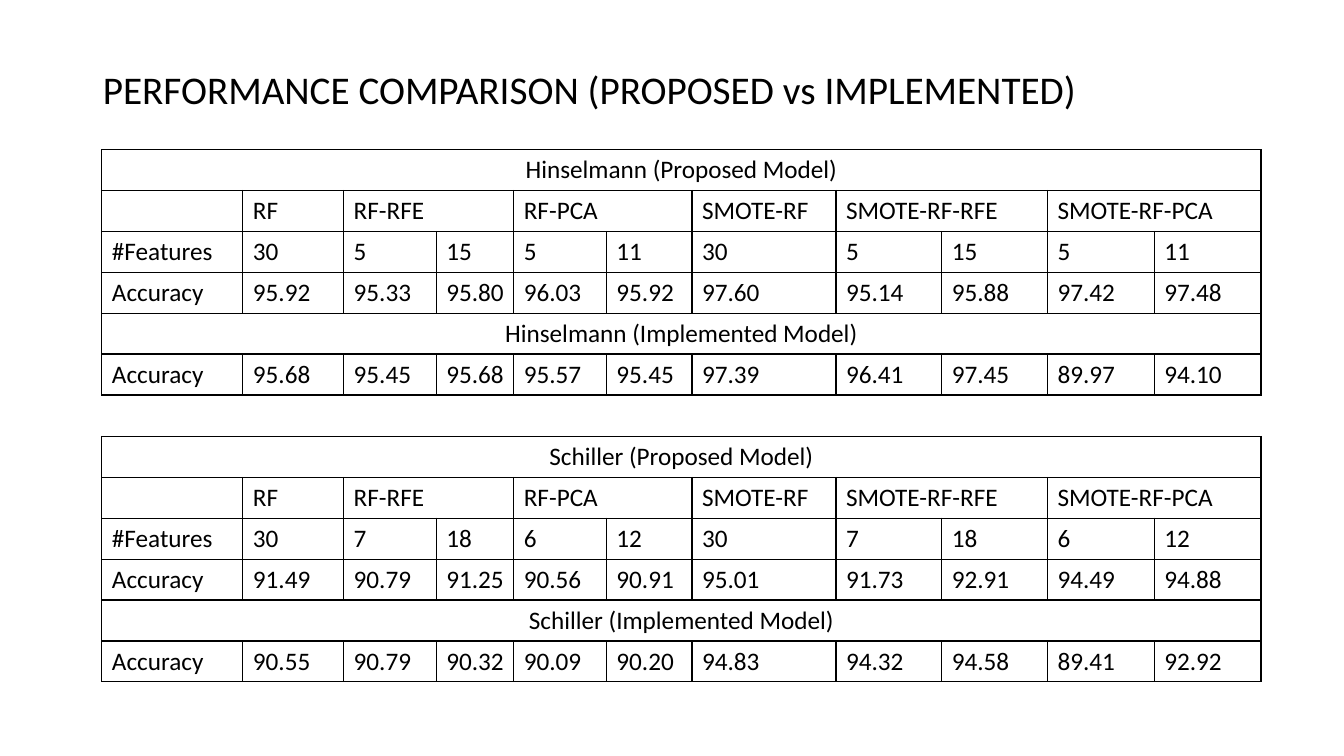
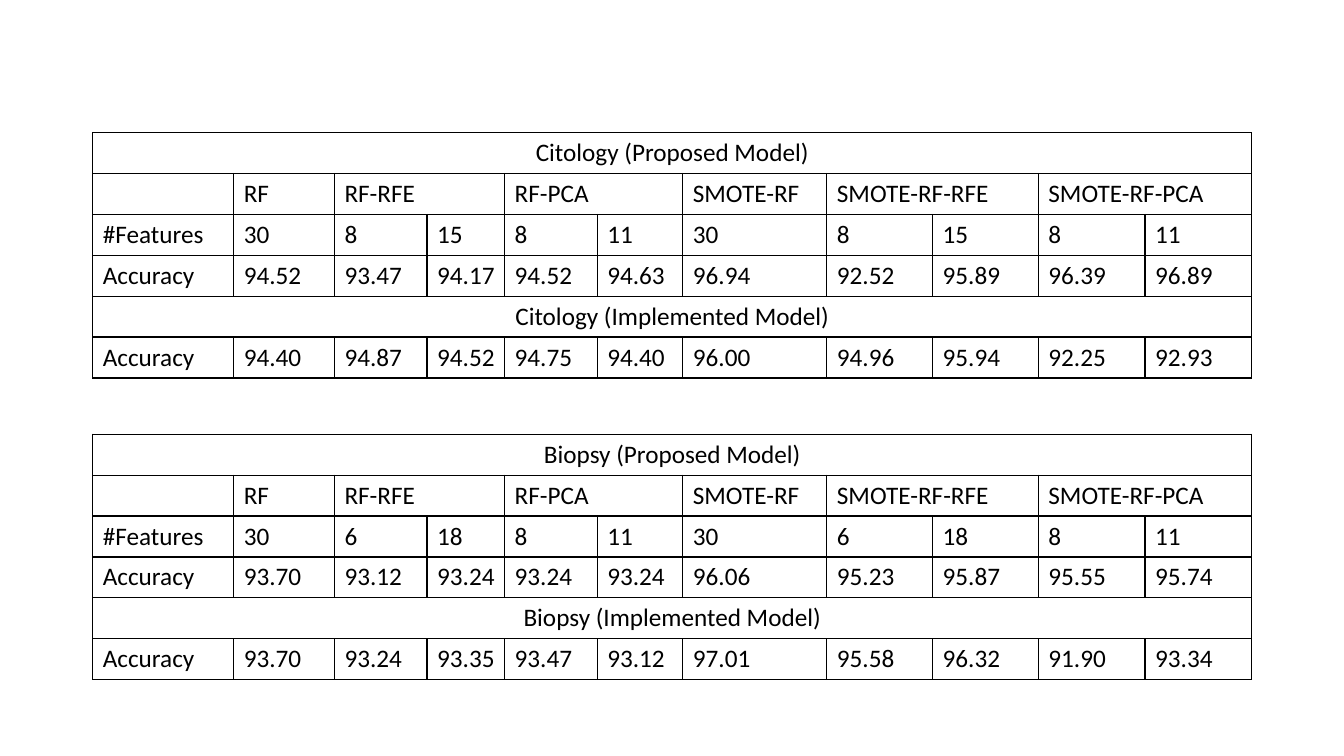
import pptx
import pptx.dml.color
import pptx.enum.text
import pptx.oxml
import pptx.oxml.ns
import pptx.util

BLACK = pptx.dml.color.RGBColor(0x00, 0x00, 0x00)
WHITE = pptx.dml.color.RGBColor(0xFF, 0xFF, 0xFF)
FONT = "Calibri"
TITLE_SIZE, TABLE_SIZE = 28, 18
ALIGN = pptx.enum.text.PP_ALIGN

# Lengths below are percentages of the slide's width or height
MARGIN, CONTENT_WIDTH = 6.9, 86.25
ROW_HEIGHT = 5.4
COLUMN_WEIGHTS = [1.4, 1, 0.92, 0.77, 0.92, 0.85, 1.43, 1.05, 1.05, 1.06, 1.06]

# Method names with the number of columns each one covers
METHODS = [("RF", 1), ("RF-RFE", 2), ("RF-PCA", 2),
           ("SMOTE-RF", 1), ("SMOTE-RF-RFE", 2), ("SMOTE-RF-PCA", 2)]


class SlideBuilder:
    """Holds the shared style and the slide being built."""

    def __init__(self, deck):
        self.deck = deck
        self.slide = None

    def across(self, percent):
        return round(self.deck.slide_width * percent / 100)

    def down(self, percent):
        return round(self.deck.slide_height * percent / 100)

    def start(self, title=None):
        layout = self.deck.slide_layouts[5 if title else 6]
        self.slide = self.deck.slides.add_slide(layout)
        background = self.slide.background.fill
        background.solid()
        background.fore_color.rgb = WHITE
        if title:
            self.title(title)

    def style(self, para, size, alignment):
        para.alignment = alignment
        for span in para.runs:
            span.font.name = FONT
            span.font.size = pptx.util.Pt(size)
            span.font.color.rgb = BLACK

    def title(self, text):
        box = self.slide.shapes.title
        box.left, box.top = self.across(MARGIN), self.down(6.8)
        box.width, box.height = self.across(CONTENT_WIDTH), self.down(10.8)
        frame = box.text_frame
        frame.text = text
        frame.auto_size = pptx.enum.text.MSO_AUTO_SIZE.NONE
        frame.vertical_anchor = pptx.enum.text.MSO_ANCHOR.MIDDLE
        frame.paragraphs[0].line_spacing = 0.9
        self.style(frame.paragraphs[0], TITLE_SIZE, ALIGN.LEFT)

    def border(self, cell):
        properties = cell._tc.get_or_add_tcPr()
        for index, edge in enumerate(("lnL", "lnR", "lnT", "lnB")):
            line = pptx.oxml.parse_xml(
                f'<a:{edge} {pptx.oxml.ns.nsdecls("a")} w="{pptx.util.Pt(1)}">'
                f'<a:solidFill><a:srgbClr val="{BLACK}"/></a:solidFill></a:{edge}>')
            properties.insert(index, line)

    def fill_cell(self, cell, text, alignment=ALIGN.LEFT):
        cell.text_frame.text = text
        self.style(cell.text_frame.paragraphs[0], TABLE_SIZE, alignment)
        if alignment == ALIGN.LEFT:
            # Leaves room for five characters in the narrowest column
            cell.margin_right = pptx.util.Inches(0.03)

    def results_table(self, left, top, target, features, proposed, implemented):
        rows, columns = 6, len(COLUMN_WEIGHTS)
        table = self.slide.shapes.add_table(
            rows, columns, self.across(left), self.down(top),
            self.across(CONTENT_WIDTH), self.down(ROW_HEIGHT * rows)).table
        table.first_row = table.horz_banding = False
        for column, weight in zip(table.columns, COLUMN_WEIGHTS):
            column.width = self.across(CONTENT_WIDTH * weight / sum(COLUMN_WEIGHTS))
        for row in table.rows:
            row.height = self.down(ROW_HEIGHT)
        for cell in table.iter_cells():
            cell.fill.background()
            self.border(cell)

        # Full-width headings
        for row, model in ((0, "Proposed"), (4, "Implemented")):
            heading = table.cell(row, 0)
            heading.merge(table.cell(row, columns - 1))
            self.fill_cell(heading, f"{target} ({model} Model)", ALIGN.CENTER)

        # Method names over their columns
        column = 1
        for method, width in METHODS:
            cell = table.cell(1, column)
            if width > 1:
                cell.merge(table.cell(1, column + width - 1))
            self.fill_cell(cell, method)
            column += width

        # Feature counts are the same with and without SMOTE
        for row, label, values in ((2, "#Features", features.split() * 2),
                                   (3, "Accuracy", proposed.split()),
                                   (5, "Accuracy", implemented.split())):
            for column, text in enumerate([label] + values):
                self.fill_cell(table.cell(row, column), text)


deck = pptx.Presentation()
deck.slide_width = pptx.util.Inches(13.33)
deck.slide_height = pptx.util.Inches(7.5)
builder = SlideBuilder(deck)

# Slide 1: Hinselmann and Schiller
builder.start("PERFORMANCE COMPARISON (PROPOSED vs IMPLEMENTED)")
builder.results_table(
    7.58, 19.8, "Hinselmann", "30 5 15 5 11",
    "95.92 95.33 95.80 96.03 95.92 97.60 95.14 95.88 97.42 97.48",
    "95.68 95.45 95.68 95.57 95.45 97.39 96.41 97.45 89.97 94.10")
builder.results_table(
    7.58, 57.75, "Schiller", "30 7 18 6 12",
    "91.49 90.79 91.25 90.56 90.91 95.01 91.73 92.91 94.49 94.88",
    "90.55 90.79 90.32 90.09 90.20 94.83 94.32 94.58 89.41 92.92")

# Slide 2: Citology and Biopsy
builder.start()
builder.results_table(
    MARGIN, 17.55, "Citology", "30 8 15 8 11",
    "94.52 93.47 94.17 94.52 94.63 96.94 92.52 95.89 96.39 96.89",
    "94.40 94.87 94.52 94.75 94.40 96.00 94.96 95.94 92.25 92.93")
builder.results_table(
    MARGIN, 57.45, "Biopsy", "30 6 18 8 11",
    "93.70 93.12 93.24 93.24 93.24 96.06 95.23 95.87 95.55 95.74",
    "93.70 93.24 93.35 93.47 93.12 97.01 95.58 96.32 91.90 93.34")

deck.save("out.pptx")
